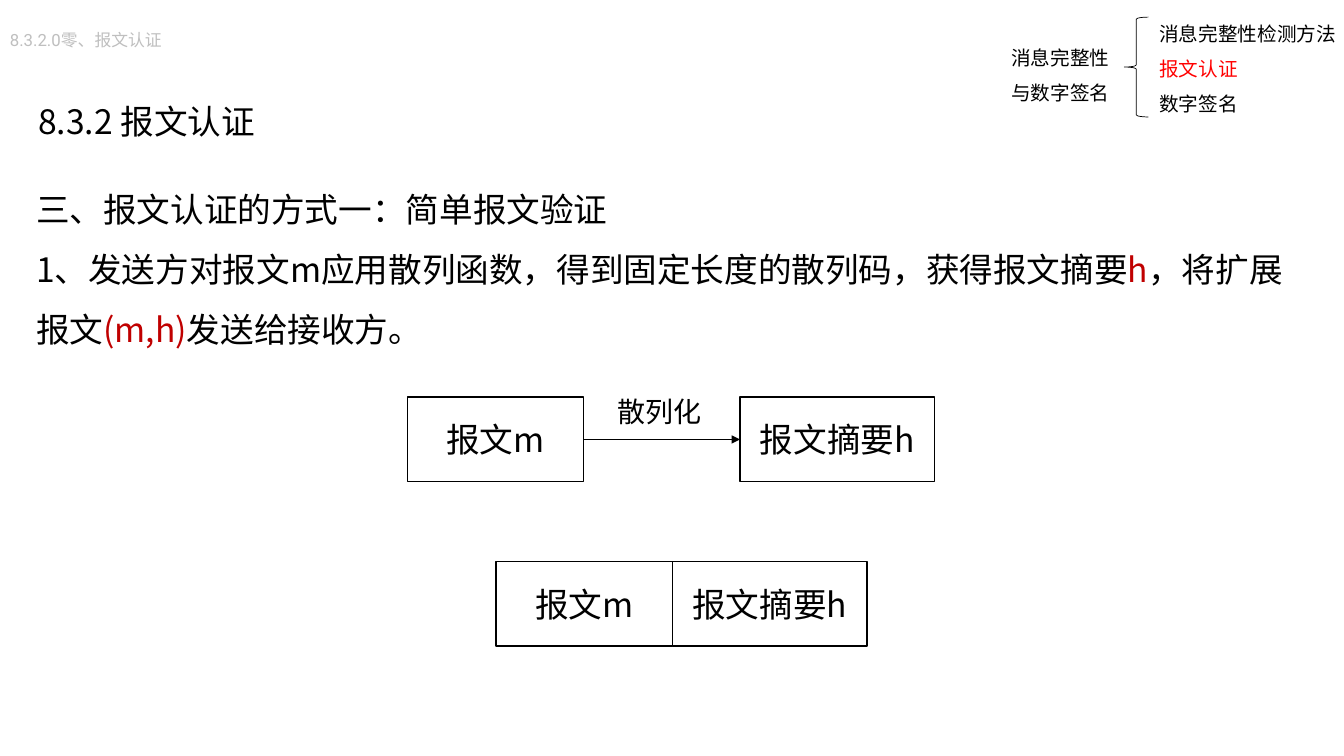
from lxml.etree import SubElement
from pptx import Presentation
from pptx.dml.color import RGBColor
from pptx.enum.shapes import MSO_CONNECTOR, MSO_SHAPE
from pptx.enum.text import MSO_ANCHOR, MSO_AUTO_SIZE, PP_ALIGN
from pptx.oxml.ns import qn
from pptx.util import Inches, Pt

CELL = 0.1
BLACK, WHITE, RED, DARK_RED, GRAY = "000000", "FFFFFF", "FF0000", "C00000", "BFBFBF"


def color(hex_value):
    return RGBColor.from_string(hex_value)


def cells(*values):
    return [Inches(value * CELL) for value in values]


class Board:
    font_name = "Noto Sans CJK SC"

    def __init__(self, slide):
        self.slide = slide

    def fill_text(self, frame, paragraphs, size, align=None, spacing=None, font_name=font_name, base=BLACK):
        for index, runs in enumerate(paragraphs):
            paragraph = frame.paragraphs[0] if index == 0 else frame.add_paragraph()
            paragraph.alignment = align
            paragraph.line_spacing = spacing
            paragraph.font.size = Pt(size)
            paragraph.font.name = font_name
            paragraph.font.color.rgb = color(base)
            defaults = paragraph._p.pPr.find(qn("a:defRPr"))
            SubElement(defaults, qn("a:ea")).set("typeface", font_name)
            for text, run_color in runs:
                run = paragraph.add_run()
                run.text = text
                if run_color != base:
                    run.font.color.rgb = color(run_color)

    def text(self, area, paragraphs, size, anchor=MSO_ANCHOR.TOP, grow=True, **style):
        frame = self.slide.shapes.add_textbox(*cells(*area)).text_frame
        frame.word_wrap = True
        frame.auto_size = MSO_AUTO_SIZE.SHAPE_TO_FIT_TEXT if grow else MSO_AUTO_SIZE.NONE
        frame.vertical_anchor = anchor
        self.fill_text(frame, paragraphs, size, **style)
        return frame

    def shape(self, kind, area, line_width):
        shape = self.slide.shapes.add_shape(kind, *cells(*area))
        shape.shadow.inherit = False
        shape.line.color.rgb = color(BLACK)
        shape.line.width = Pt(line_width)
        return shape

    def box(self, area, label):
        shape = self.shape(MSO_SHAPE.RECTANGLE, area, 1)
        shape.fill.solid()
        shape.fill.fore_color.rgb = color(WHITE)
        shape.text_frame.vertical_anchor = MSO_ANCHOR.MIDDLE
        self.fill_text(shape.text_frame, [[(label, BLACK)]], 24, align=PP_ALIGN.CENTER)

    def brace(self, area):
        self.shape(MSO_SHAPE.LEFT_BRACE, area, 0.5).fill.background()

    def arrow(self, start, end):
        connector = self.slide.shapes.add_connector(MSO_CONNECTOR.STRAIGHT, *cells(*start, *end))
        connector.line.color.rgb = color(BLACK)
        connector.line.width = Pt(0.5)
        SubElement(connector.line._get_or_add_ln(), qn("a:tailEnd")).set("type", "triangle")
        SubElement(connector._element.spPr, qn("a:effectLst"))


def main():
    presentation = Presentation()
    presentation.slide_width, presentation.slide_height = Inches(13.33), Inches(7.5)
    board = Board(presentation.slides.add_slide(presentation.slide_layouts[6]))

    board.text((2.6, 16.2, 127.2, 19.2), [
        [("三、报文认证的方式一：简单报文验证", BLACK)],
        [("1、发送方对报文m应用散列函数，得到固定长度的散列码，获得报文摘要", BLACK),
         ("h", DARK_RED), ("，将扩展报文", BLACK),
         ("(m,h)", DARK_RED), ("发送给接收方。", BLACK)],
    ], 24, spacing=1.5)
    board.text((0, 2.5, 17.3, 3), [[("8.3.2.0零、报文认证", GRAY)]], 12,
               grow=False, font_name="Roboto", base=GRAY)

    outline = {"align": PP_ALIGN.JUSTIFY, "spacing": 1.5}
    topics = [("消息完整性检测方法", BLACK), ("报文认证", RED), ("数字签名", BLACK)]
    board.text((114, 0.5, 21.1, 11.6), [[topic] for topic in topics], 14, **outline)
    board.brace((111.5, 1.7, 2.4, 9.9))
    chapter = [[("消息完整性", BLACK)], [("与数字签名", BLACK)]]
    board.text((99.3, 2.9, 12.2, 8.1), chapter, 14, **outline)

    heading = board.text((2.6, 5.8, 29.3, 10.4), [[("8.3.2 报文认证", BLACK)]], 24,
                         anchor=MSO_ANCHOR.MIDDLE, grow=False, spacing=1.5)
    heading.margin_left = heading.margin_right = Inches(0.12)
    heading.margin_top = heading.margin_bottom = Inches(0.06)

    message_width, digest_width, height = 17.5, 19.3, 8.4
    hash_row, extended_row = 39.4, 55.7
    message_left, digest_left, extended_left = 40.4, 73.4, 49.2
    for left, digest, top in ((message_left, digest_left, hash_row),
                              (extended_left, extended_left + message_width, extended_row)):
        board.box((left, top, message_width, height), "报文m")
        board.box((digest, top, digest_width, height), "报文摘要h")
    middle = hash_row + height / 2
    board.arrow((message_left + message_width, middle), (digest_left, middle))
    board.text((60.3, 38.6, 10.5, 4.4), [[("散列化", BLACK)]], 20)

    presentation.save("out.pptx")


if __name__ == "__main__":
    main()
